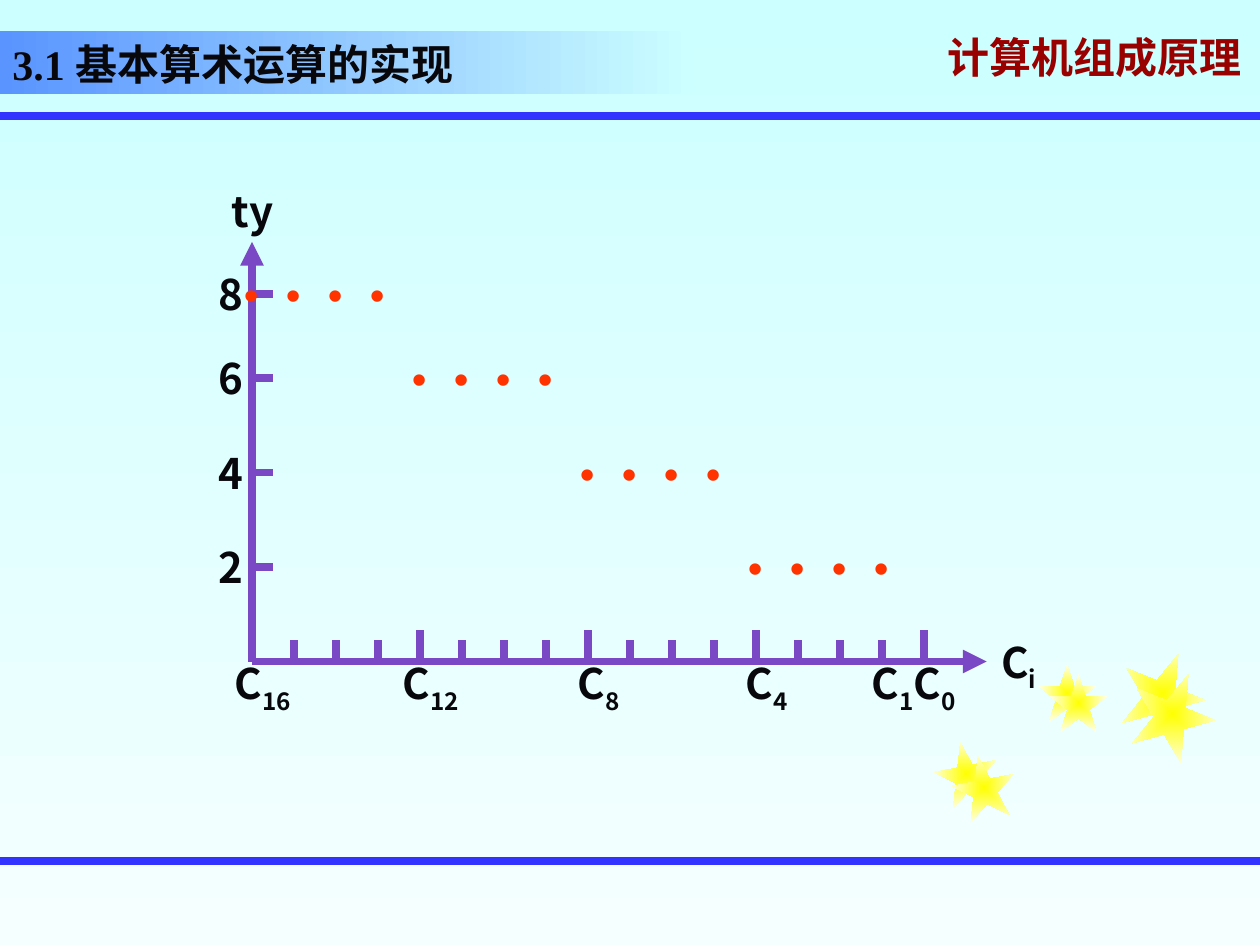
"""Build the slide on carry delay ty of each carry bit Ci."""
import pptx
import pptx.util
from lxml import etree
from pptx.dml.color import RGBColor
from pptx.enum.shapes import MSO_CONNECTOR, MSO_SHAPE
from pptx.enum.text import MSO_ANCHOR, MSO_AUTO_SIZE, PP_ALIGN
from pptx.oxml.ns import qn
from pptx.util import Inches

INK = RGBColor(0x08, 0x08, 0x0C)
MAROON = RGBColor(0x99, 0x00, 0x00)
RED = RGBColor(0xFF, 0x33, 0x00)
PURPLE = RGBColor(0x7A, 0x48, 0xC4)
RULE_BLUE = RGBColor(0x33, 0x33, 0xFF)
TITLE_BLUE = RGBColor(0x59, 0x94, 0xFF)
SKY = RGBColor(0xCC, 0xFF, 0xFF)
PALE_SKY = RGBColor(0xF5, 0xFF, 0xFF)
YELLOW = RGBColor(0xFF, 0xFF, 0x00)
CREAM = RGBColor(0xFF, 0xFF, 0xE9)

HAN = "Noto Sans CJK SC"
COURSE = "计算机组成原理"
SECTION = [("3.1 ", "Times New Roman"), ("基本算术运算的实现", HAN)]
RULES = [0.92, 6.83]
STARS = [
    (7.42, 5.89, 0.5, 349), (8.24, 5.27, 0.46, 0), (8.89, 5.17, 0.67, 22),
    (7.56, 6, 0.5, 349), (8.33, 5.35, 0.46, 0), (8.97, 5.33, 0.67, 22),
]
HIGHEST_CARRY = 16
LABELLED_CARRIES = [16, 12, 8, 4, 0, 1]
DELAYS = [
    ("8", 2.33, [16, 15, 14, 13]),
    ("6", 3, [12, 11, 10, 9]),
    ("4", 3.75, [8, 7, 6, 5]),
    ("2", 4.5, [4, 3, 2, 1]),
]
ORIGIN_X, ORIGIN_Y = 2, 5.25
AXIS_RIGHT, AXIS_TOP = 7.83, 1.92
CARRY_STEP = 1 / 3


def carry_x(carry):
    return ORIGIN_X + (HIGHEST_CARRY - carry) * CARRY_STEP


def blend(fill, start, end, angle=0):
    fill.gradient()
    fill.gradient_angle = angle
    for stop, color in zip(fill.gradient_stops, (start, end)):
        stop.color.rgb = color


def add_line(slide, start, end, color, arrow=False):
    line = slide.shapes.add_connector(
        MSO_CONNECTOR.STRAIGHT, *(Inches(v) for v in (*start, *end)))
    line.line.color.rgb = color
    line.line.width = pptx.util.Pt(4.5)
    if arrow:
        etree.SubElement(line.line._get_or_add_ln(), qn("a:tailEnd"), type="triangle")
    etree.SubElement(line._element.spPr, qn("a:effectLst"))


def add_run(paragraph, text, font, color, bold=True):
    run = paragraph.add_run()
    run.text = text
    run.font.size = pptx.util.Pt(24)
    run.font.bold = bold
    run.font.name = font
    run.font.color.rgb = color
    etree.SubElement(run.font._element, qn("a:ea"), typeface=font)
    return run


def add_label(slide, left, top, width, text, subscript="", font=HAN, color=INK, bold=True):
    height = 0.56 if subscript else 0.5
    label = slide.shapes.add_textbox(*(Inches(v) for v in (left, top, width, height)))
    label.text_frame.word_wrap = True
    label.text_frame.auto_size = MSO_AUTO_SIZE.SHAPE_TO_FIT_TEXT
    paragraph = label.text_frame.paragraphs[0]
    paragraph.alignment = PP_ALIGN.CENTER
    add_run(paragraph, text, font, color, bold)
    if subscript:
        add_run(paragraph, subscript, font, color, bold).font._element.set("baseline", "-25000")


def add_star(slide, left, top, size, rotation):
    star = slide.shapes.add_shape(
        MSO_SHAPE.STAR_5_POINT, *(Inches(v) for v in (left, top, size, size)))
    star.rotation = rotation
    star.shadow.inherit = False
    star.line.fill.background()
    blend(star.fill, YELLOW, CREAM)
    gradient = star._element.spPr.find(qn("a:gradFill"))
    gradient.remove(gradient.find(qn("a:lin")))
    glow = etree.SubElement(gradient, qn("a:path"), path="rect")
    etree.SubElement(glow, qn("a:fillToRect"), l="50000", t="50000", r="50000", b="50000")


def add_course(slide):
    course = slide.shapes.add_textbox(Inches(7.42), Inches(0.25), Inches(2.58), Inches(0.5))
    course.text_frame.word_wrap = True
    course.text_frame.vertical_anchor = MSO_ANCHOR.MIDDLE
    paragraph = course.text_frame.paragraphs[0]
    paragraph.line_spacing = 0.7
    run = add_run(paragraph, COURSE, HAN, MAROON)
    effects = etree.Element(qn("a:effectLst"))
    shadow = etree.SubElement(effects, qn("a:outerShdw"), dist="17961", dir="2700000")
    etree.SubElement(shadow, qn("a:srgbClr"), val="808080")
    run.font._element.find(qn("a:solidFill")).addnext(effects)


def add_section(slide):
    section = slide.shapes.add_shape(
        MSO_SHAPE.RECTANGLE, 0, Inches(0.25), Inches(5.5), Inches(0.5))
    section.shadow.inherit = False
    section.line.fill.background()
    blend(section.fill, TITLE_BLUE, SKY)
    section.text_frame.word_wrap = True
    section.text_frame.vertical_anchor = MSO_ANCHOR.BOTTOM
    paragraph = section.text_frame.paragraphs[0]
    paragraph.alignment = PP_ALIGN.JUSTIFY
    paragraph.line_spacing = 0.8
    for text, font in SECTION:
        add_run(paragraph, text, font, INK)


def add_axes(slide):
    origin = (ORIGIN_X, ORIGIN_Y)
    add_line(slide, origin, (AXIS_RIGHT, ORIGIN_Y), PURPLE, arrow=True)
    add_line(slide, origin, (ORIGIN_X, AXIS_TOP), PURPLE, arrow=True)
    for carry in range(HIGHEST_CARRY):
        tick_top = 5 if carry % 4 == 0 else 5.08
        add_line(slide, (carry_x(carry), tick_top), (carry_x(carry), ORIGIN_Y), PURPLE)
    for carry in LABELLED_CARRIES:
        add_label(slide, carry_x(carry) - 0.5, 5.17, 1.17, "C", str(carry))
    add_label(slide, 7.5, 5, 1.17, "C", "i")
    add_label(slide, 1.42, 1.42, 1.17, "ty")


def add_delays(slide):
    for delay, y, carries in DELAYS:
        add_line(slide, (ORIGIN_X, y), (ORIGIN_X + 0.17, y), PURPLE)
        add_label(slide, 1.58, y - 0.25, 0.5, delay)
        for carry in carries:
            add_label(slide, carry_x(carry) - 0.42, y - 0.25, 0.83, "•",
                      font="Arial", color=RED, bold=False)


def main():
    deck = pptx.Presentation()
    deck.slide_width, deck.slide_height = Inches(10), Inches(7.5)
    slide = deck.slides.add_slide(deck.slide_layouts[6])
    blend(slide.background.fill, SKY, PALE_SKY, 270)
    add_course(slide)
    for y in RULES:
        add_line(slide, (0, y), (10, y), RULE_BLUE)
    for star in STARS:
        add_star(slide, *star)
    add_section(slide)
    add_axes(slide)
    add_delays(slide)
    deck.save("out.pptx")


if __name__ == "__main__":
    main()
